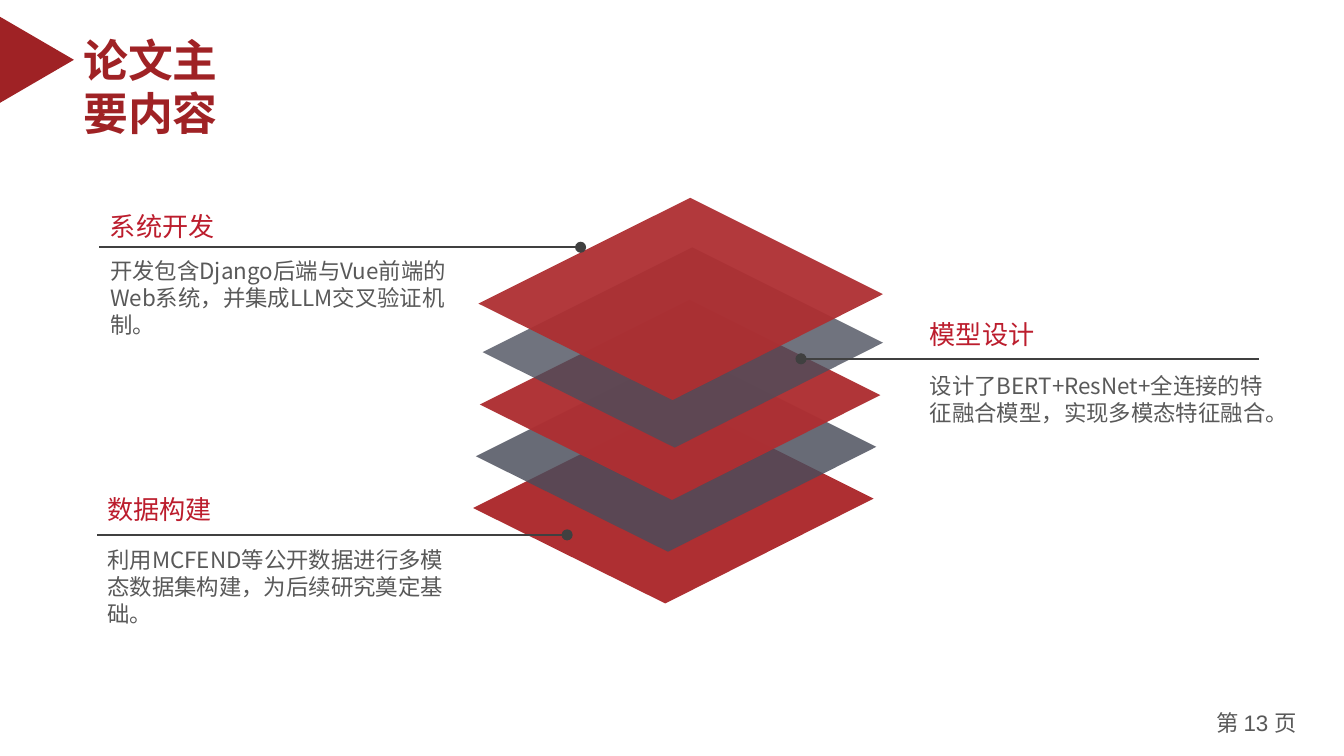
"""Build the thesis contents slide: a stack of five layers with three callouts."""
from lxml import etree
from pptx import Presentation, util as u
from pptx.dml.color import RGBColor
from pptx.enum import shapes, text
from pptx.oxml import ns

CELL = u.Inches(0.1)
COLUMNS, ROWS = 100, 56.25
RED, HEADING, BODY, RULE = "9F2225", "BC1D2D", "595959", "404040"
CJK = "Noto Sans CJK SC"


def paint(fill, hex_color, opacity=100):
    fill.solid()
    fill.fore_color.rgb = RGBColor.from_string(hex_color)
    if opacity < 100:
        srgb = fill._xPr.find(".//" + ns.qn("a:srgbClr"))
        etree.SubElement(srgb, ns.qn("a:alpha"), val=str(opacity * 1000))


def write(box, place, words, size, hex_color, latin=CJK, bold=False, align=text.PP_ALIGN.LEFT):
    box.left, box.top, box.width, box.height = (round(n * CELL) for n in place)
    frame = box.text_frame
    frame.text = words
    frame.word_wrap = True
    frame.auto_size = text.MSO_AUTO_SIZE.NONE
    frame.vertical_anchor = text.MSO_ANCHOR.TOP
    paragraph = frame.paragraphs[0]
    paragraph.alignment = align
    paragraph.space_before = u.Pt(0)
    font = paragraph.runs[0].font
    font.size, font.bold, font.name = u.Pt(size), bold, latin
    paint(font.fill, hex_color)
    east_asian = etree.SubElement(font._element, ns.qn("a:ea"), typeface=CJK)
    font._element.find(ns.qn("a:latin")).addnext(east_asian)


deck = Presentation()
deck.slide_width, deck.slide_height = round(COLUMNS * CELL), round(ROWS * CELL)
slide = deck.slides.add_slide(deck.slide_layouts[5])
canvas = slide.shapes

page_label = canvas.add_textbox(0, 0, 0, 0)
write(page_label, (89, 52.4, 9, 3), "第 13 页", 12, BODY, latin="Arial", align=text.PP_ALIGN.CENTER)
page_label.text_frame.margin_left = page_label.text_frame.margin_right = u.Inches(0.07)
page_label.text_frame.margin_top = page_label.text_frame.margin_bottom = u.Inches(0.04)

write(canvas.title, (5.2, 1.9, 12.4, 5), "论文主要内容", 24, RED, latin="Arial", bold=True)

pointer = canvas.add_shape(shapes.MSO_SHAPE.ISOSCELES_TRIANGLE,
                           *(round(n * CELL) for n in (-0.45, 1.7, 6.4, 5.5)))
pointer.rotation = 90
pointer.shadow.inherit = False
paint(pointer.fill, RED)
pointer.line.fill.background()

DIAMOND = [(0, 0), (15.6, -7.8), (29.8, -0.7), (14.3, 7.1)]
LAYERS = [
    (35.2, 37.8, 1, "AE2F32", 100),
    (35.4, 33.95, 1, "4A4D5B", 83),
    (35.7, 30.1, 1, "AE2F32", 97),
    (35.9, 26.2, 1, "4A4E5C", 79),
    (35.6, 22.6, 1.01, "AE2F32", 95),
]
for left, middle, scale, hex_color, opacity in LAYERS:
    corners = [((left + x * scale) * CELL, (middle + y * scale) * CELL) for x, y in DIAMOND]
    outline = canvas.build_freeform(*corners[0])
    outline.add_line_segments(corners[1:], close=True)
    layer = outline.convert_to_shape()
    layer.shadow.inherit = False
    paint(layer.fill, hex_color, opacity)
    layer.line.fill.background()

CALLOUTS = [
    ("系统开发", "开发包含Django后端与Vue前端的Web系统，并集成LLM交叉验证机制。",
     (7.2, 15.15), (7.2, 18.65, 27.1, 5.9), (43.2, 7.4, 18.4)),
    ("模型设计", "设计了BERT+ResNet+全连接的特征融合模型，实现多模态特征融合。",
     (68.2, 23.2), (68.2, 27.2, 27.3, 7.1), (59.6, 93.7, 26.7)),
    ("数据构建", "利用MCFEND等公开数据进行多模态数据集构建，为后续研究奠定基础。",
     (7, 36.2), (7, 40.15, 28.2, 7), (42.2, 7.2, 39.8)),
]
for heading, detail, heading_corner, detail_place, (dot, end, row) in CALLOUTS:
    write(canvas.add_textbox(0, 0, 0, 0), detail_place, detail, 12, BODY)
    write(canvas.add_textbox(0, 0, 0, 0), (*heading_corner, 18.4, 3.4), heading, 14, HEADING)
    leader = canvas.add_connector(shapes.MSO_CONNECTOR.STRAIGHT,
                                  *(round(n * CELL) for n in (dot, row, end, row)))
    leader.line.width = u.Pt(1)
    paint(leader.line.fill, RULE)
    etree.SubElement(leader.line._get_or_add_ln(), ns.qn("a:headEnd"), type="oval")
    etree.SubElement(leader._element.spPr, ns.qn("a:effectLst"))

deck.save("out.pptx")
